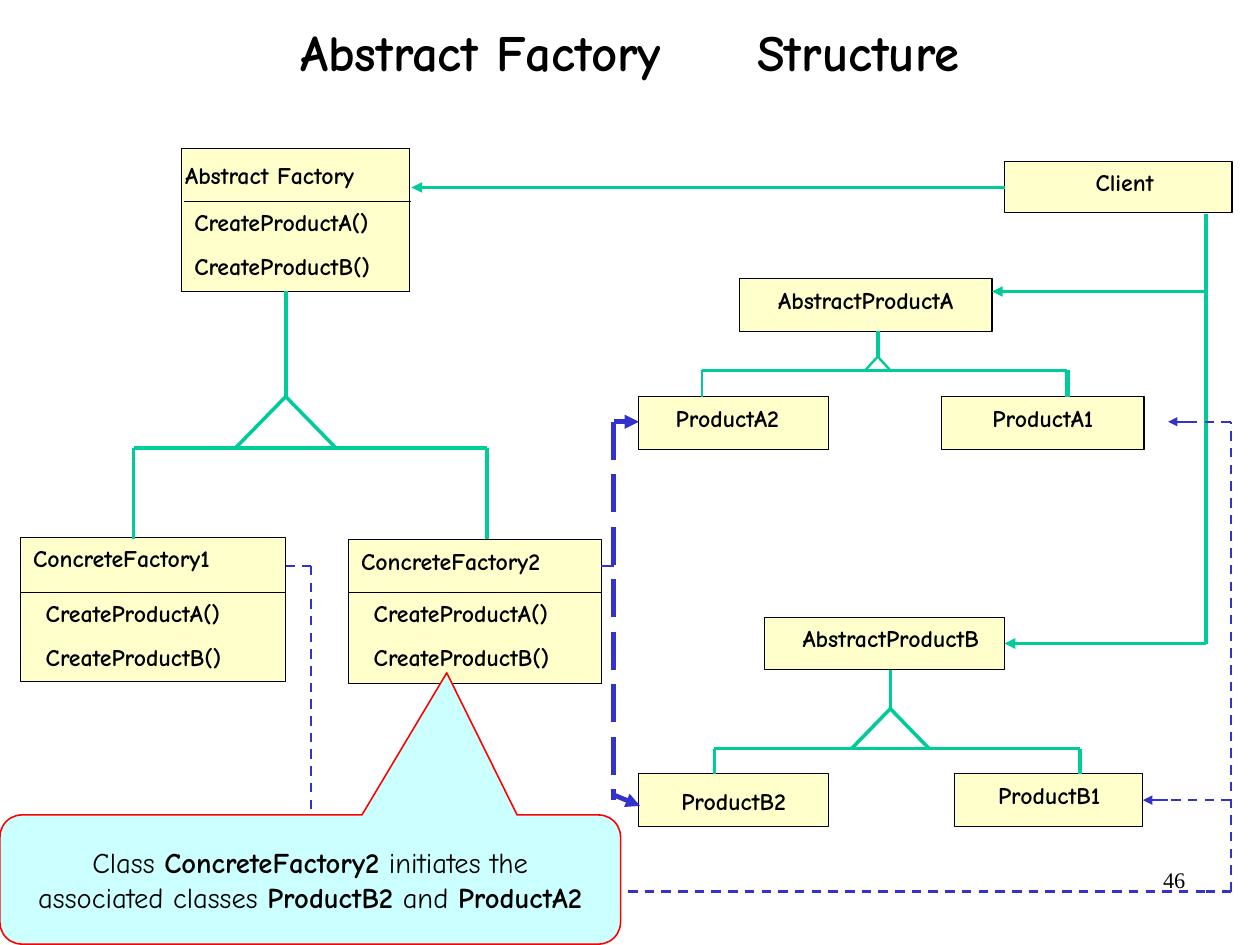
"""Draw the class diagram of the Abstract Factory pattern."""
import pptx
import pptx.util
import pptx.dml.color
import pptx.enum.dml
import pptx.enum.shapes
import pptx.enum.text
from lxml import etree

Inches, Pt = pptx.util.Inches, pptx.util.Pt
ALIGN = pptx.enum.text.PP_ALIGN
MIDDLE = pptx.enum.text.MSO_ANCHOR.MIDDLE
KIND = pptx.enum.shapes.MSO_SHAPE
DASH = pptx.enum.dml.MSO_LINE.DASH
LONG = pptx.enum.dml.MSO_LINE.LONG_DASH
NS = "http://schemas.openxmlformats.org/drawingml/2006/main"

FONT = "Comic Neue"
BLACK, CREAM, GREEN, BLUE = "000000", "FFFFCC", "00CC99", "3333CC"
CYAN, RED = "CCFFFF", "FF0000"
PAD = (0.11, 0.06)

TITLE = "Abstract Factory\tStructure"
NUMBER = "46"
METHODS = ["CreateProductA()", "CreateProductB()"]
NOTE = [
    [("Class ", False), ("ConcreteFactory2", True), (" initiates the", False)],
    [("associated classes ", False), ("ProductB2", True),
     (" and ", False), ("ProductA2", True)],
]

# name, box, label left / top / width, rule start / end / height, methods left
FACTORIES = [
    ("Abstract Factory", (1.59, 1.3, 1.99, 1.25), (1.51, 1.35, 2.09), (1.61, 3.6, 1.76), 1.59),
    ("ConcreteFactory1", (0.18, 4.7, 2.32, 1.26), (0.18, 4.7, 2.43), (0.18, 2.5, 5.18), 0.29),
    ("ConcreteFactory2", (3.05, 4.72, 2.21, 1.26), (3.05, 4.72, 2.32), (3.05, 5.26, 5.18), 3.16),
]
# name, box, label left / top / width
CLASSES = [
    ("Client", (8.79, 1.41, 1.99, 0.45), (8.9, 1.41, 1.88)),
    ("AbstractProductA", (6.47, 2.44, 2.21, 0.46), (6.47, 2.44, 2.21)),
    ("ProductA2", (5.59, 3.47, 1.66, 0.46), (5.48, 3.47, 1.77)),
    ("ProductA1", (8.24, 3.47, 1.77, 0.46), (8.13, 3.47, 1.99)),
    ("AbstractProductB", (6.69, 5.4, 2.1, 0.46), (6.69, 5.4, 2.21)),
    ("ProductB2", (5.59, 6.77, 1.66, 0.46), (5.59, 6.82, 1.66)),
    ("ProductB1", (8.35, 6.77, 1.65, 0.46), (8.24, 6.77, 1.88)),
]
# stem x, top, apex, bar, foot, left x, right x, arm reach, arm / left / right weights
TREES = [
    (2.5, 2.55, 3.47, 3.92, 4.72, 1.17, 4.26, 0.44, (2.25, 2.25, 2.25)),
    (7.68, 2.9, 3.12, 3.24, 3.47, 6.14, 9.34, 0.11, (1.5, 1.5, 3)),
    (7.79, 5.86, 6.2, 6.55, 6.77, 6.25, 9.45, 0.34, (2.25, 2.25, 2.25)),
]
# points, colour, weight, dash, arrow
LINKS = [
    ([(8.79, 1.64), (3.6, 1.64)], GREEN, 2.25, None, True),
    ([(10.55, 1.87), (10.55, 5.63), (8.79, 5.63)], GREEN, 2.25, None, True),
    ([(10.55, 2.55), (8.68, 2.55)], GREEN, 2.25, None, True),
    ([(2.5, 4.95), (2.72, 4.95), (2.72, 7.8), (10.55, 7.8), (10.77, 7.8),
      (10.77, 3.69), (10.22, 3.69)], BLUE, 1.5, DASH, False),
    ([(10.44, 3.69), (10.22, 3.69)], BLUE, 1.5, None, True),
    ([(5.37, 3.69), (5.37, 7)], BLUE, 3, LONG, False),
    ([(5.26, 4.95), (5.37, 4.95)], BLUE, 1.5, LONG, False),
    ([(5.37, 3.69), (5.59, 3.69)], BLUE, 3, LONG, True),
    ([(5.36, 6.95), (5.6, 7.05)], BLUE, 3, LONG, True),
    ([(10.77, 7), (10.22, 7)], BLUE, 1.5, DASH, False),
    ([(10.22, 7), (10, 7)], BLUE, 1.5, None, True),
]

deck = pptx.Presentation()
deck.slide_width, deck.slide_height = Pt(793.75), Pt(595.25)
slide = deck.slides.add_slide(deck.slide_layouts[6])
shapes = slide.shapes


def paint(target, tint):
    target.rgb = pptx.dml.color.RGBColor.from_string(tint)


def style(par, size, bold, align, font=FONT):
    par.alignment = align
    par.font.size, par.font.name, par.font.bold = Pt(size), font, bold
    paint(par.font.color, BLACK)


def inset(frame, pad):
    frame.margin_left = frame.margin_right = Inches(pad[0])
    frame.margin_top = frame.margin_bottom = Inches(pad[1])


def panel(kind, area, fill, edge, weight):
    item = shapes.add_shape(kind, *map(Inches, area))
    item.shadow.inherit = False
    item.fill.solid()
    paint(item.fill.fore_color, fill)
    paint(item.line.color, edge)
    item.line.width = Pt(weight)
    return item


def label(rows, area, size=15, bold=True, align=ALIGN.LEFT, font=FONT, pad=PAD):
    frame = shapes.add_textbox(*map(Inches, area)).text_frame
    frame.word_wrap = True
    inset(frame, pad)
    for i, row in enumerate(rows):
        par = frame.add_paragraph() if i else frame.paragraphs[0]
        par.text = row
        if i:
            par.space_before = Pt(9.4)
        style(par, size, bold, align, font)
    return frame


def line(start, end, tint, weight, dash=None, arrow=False):
    item = shapes.add_connector(pptx.enum.shapes.MSO_CONNECTOR.STRAIGHT,
                                *map(Inches, start + end))
    paint(item.line.color, tint)
    item.line.width = Pt(weight)
    if dash:
        item.line.dash_style = dash
    if arrow:
        etree.SubElement(item.line._get_or_add_ln(), f"{{{NS}}}tailEnd", type="triangle")
    etree.SubElement(item._element.spPr, f"{{{NS}}}effectLst")


def tree(x, top, apex, bar, foot, left, right, reach, weights):
    arm, first, last = weights
    line((x, top), (x, apex), GREEN, 2.25)
    line((left, bar), (right, bar), GREEN, 2.25)
    line((left, bar), (left, foot), GREEN, first)
    line((right, bar), (right, foot), GREEN, last)
    for side in (-reach, reach):
        line((x, apex), (x + side, bar), GREEN, arm)


label([NUMBER], (7.9, 7.53, 2.57, 0.57), 14, False, ALIGN.RIGHT,
      "Times New Roman", (0.1, 0.05))

for name, box, (x, y, w), (start, end, rule), left in FACTORIES:
    panel(KIND.RECTANGLE, box, CREAM, BLACK, 0.75)
    line((start, rule), (end, rule), BLACK, 0.75)
    label([name], (x, y, w, 0.36))
    label(METHODS, (left, rule, 1.99, 0.74))

for name, box, (x, y, w) in CLASSES:
    panel(KIND.RECTANGLE, box, CREAM, BLACK, 0.75)
    label([name], (x, y, w, 0.36), align=ALIGN.CENTER)

for plan in TREES:
    tree(*plan)

for points, tint, weight, dash, arrow in LINKS:
    ends = list(zip(points, points[1:]))
    for i, (start, end) in enumerate(ends, 1):
        line(start, end, tint, weight, dash, arrow and i == len(ends))

head = label([TITLE], (0, -0.2, 11.02, 1.37), 32, True, ALIGN.CENTER, pad=(0, 0))
head.vertical_anchor = MIDDLE
par = head.paragraphs[0]
par.line_spacing = 0.88
tabs = etree.Element(f"{{{NS}}}tabLst")
etree.SubElement(tabs, f"{{{NS}}}tab", pos=str(Inches(4)), algn="l")
par._p.pPr.find(f"{{{NS}}}defRPr").addprevious(tabs)

note = panel(KIND.ROUNDED_RECTANGULAR_CALLOUT, (0, 7.13, 5.43, 1.13), CYAN, RED, 1)
for i, value in enumerate((0.22, -1.6, 0.17)):
    note.adjustments[i] = value
frame = note.text_frame
frame.word_wrap = False
frame.vertical_anchor = MIDDLE
inset(frame, PAD)
for i, row in enumerate(NOTE):
    par = frame.add_paragraph() if i else frame.paragraphs[0]
    for words, bold in row:
        run = par.add_run()
        run.text, run.font.bold = words, bold
    style(par, 18, None, ALIGN.CENTER)

deck.save("out.pptx")
